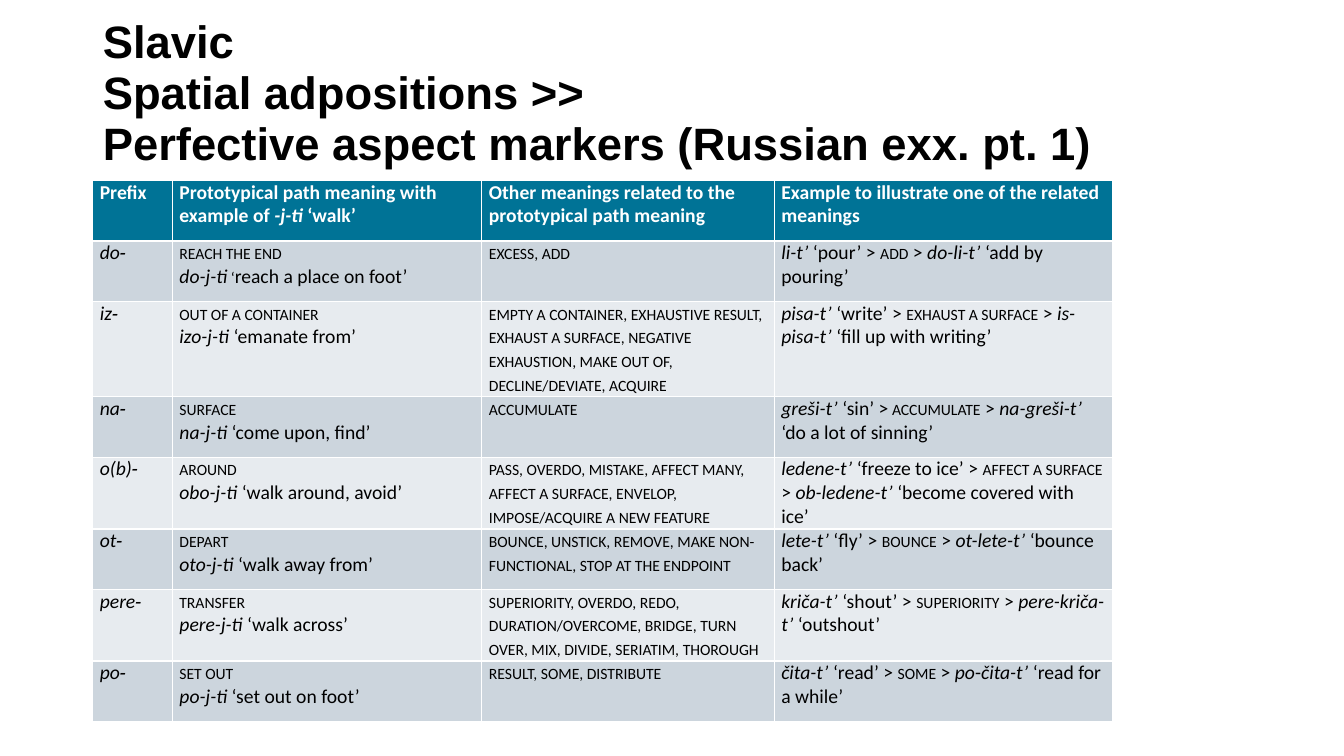
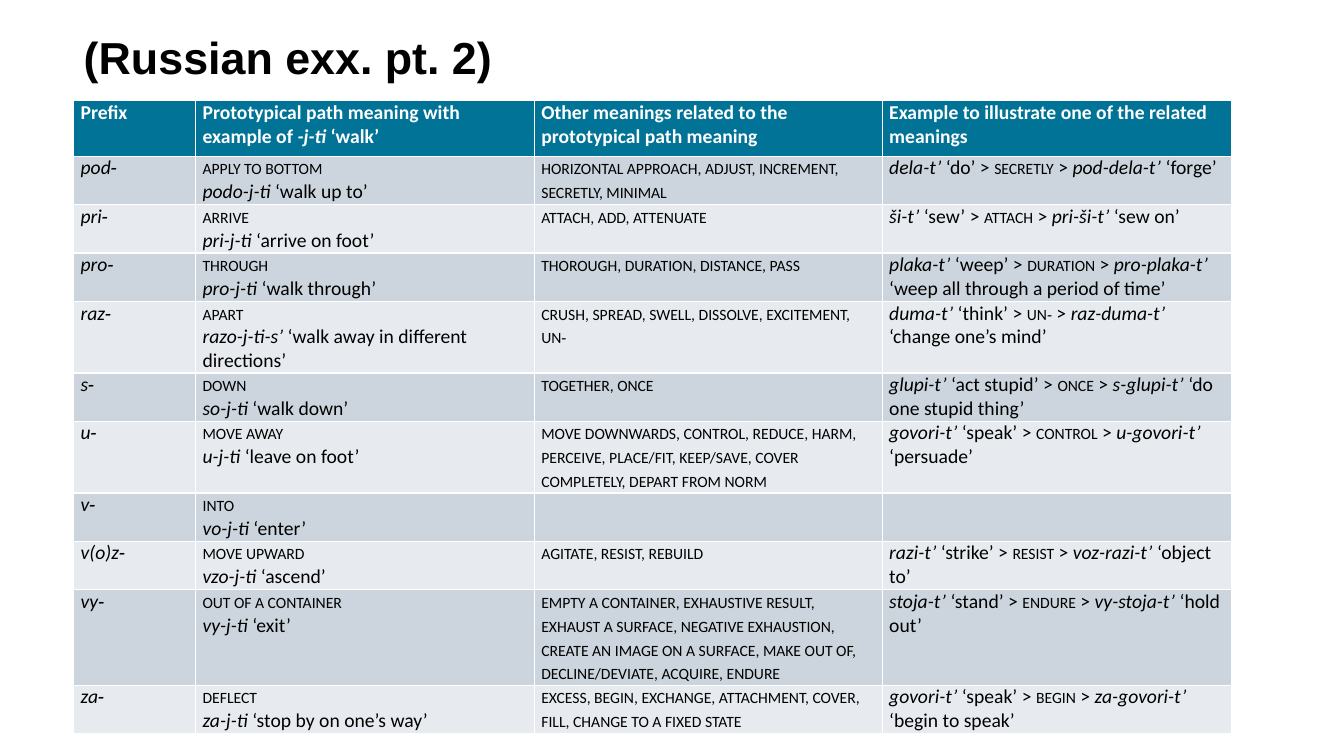
"""Build two slides with tables of Russian aspect prefixes."""
from pptx import Presentation
from pptx.dml.color import RGBColor
from pptx.enum.text import MSO_ANCHOR, MSO_AUTO_SIZE
from pptx.oxml.ns import qn
from pptx.util import Inches, Pt

HEADER_FILL = "007396"
BAND_FILLS = ["CCD5DD", "E7EBEF"]
TITLE_STYLE = {"sz": "3240", "b": "1"}
TITLE_FRAME = {"vertical_anchor": MSO_ANCHOR.MIDDLE, "auto_size": MSO_AUTO_SIZE.NONE,
               "word_wrap": True}
CELL_MARGINS = {"margin_left": Inches(0.07), "margin_right": Inches(0.07),
                "margin_top": 0, "margin_bottom": 0}
CELL_FONT = {"name": "Calibri", "size": Pt(14)}

HEADINGS = [
    "Prefix",
    "Prototypical path meaning with example of *-j-ti* ‘walk’",
    "Other meanings related to the prototypical path meaning",
    "Example to illustrate one of the related meanings",
]

PREFIXES_PART_1 = [
    ("do", "reach the end", "*do-j-ti*_ ‘_reach a place on foot’",
     "excess, add",
     "*li-t’* ‘pour’ > _add_ > *do-li-t’* ‘add by pouring’"),
    ("iz", "out of a container", "*izo-j-ti* ‘emanate from’",
     "empty a container, exhaustive result, exhaust a surface, negative exhaustion, "
     "make out of, decline/deviate, acquire",
     "*pisa-t’* ‘write’ > _exhaust a surface_ > *is-pisa-t’* ‘fill up with writing’"),
    ("na", "surface", "*na-j-ti* ‘come upon, find’",
     "accumulate",
     "*greši-t’* ‘sin’ >_ accumulate_ > *na-greši-t’* ‘do a lot of sinning’"),
    ("o(b)", "around", "*obo-j-ti* ‘walk around, avoid’",
     "pass, overdo, mistake, affect many, affect a surface, envelop, "
     "impose/acquire a new feature",
     "*ledene-t’* ‘freeze to ice’ > _affect a surface_ > *ob-ledene-t’* "
     "‘become covered with ice’"),
    ("ot", "depart", "*oto-j-ti* ‘walk away from’",
     "bounce, unstick, remove, make non-functional, stop at the endpoint",
     "*lete-t’* ‘fly’ > _bounce_ > *ot-lete-t’* ‘bounce back’"),
    ("pere", "transfer", "*pere-j-ti* ‘walk across’",
     "superiority, overdo, redo, duration/overcome, bridge, turn over, mix, divide, "
     "seriatim, thorough",
     "*kriča-t’* ‘shout’ > _superiority_ > *pere-kriča-t’* ‘outshout’"),
    ("po", "set out", "*po-j-ti* ‘set out on foot’",
     "result, some, distribute",
     "*čita-t’* ‘read’ > _some_ > *po*-*čita-t’* ‘read for a while’"),
]

PREFIXES_PART_2 = [
    ("pod", "apply to bottom", "*podo-j-ti* ‘walk up to’",
     "horizontal approach, adjust, increment, secretly, minimal",
     "*dela-t’* ‘do’ > _secretly_ > *pod-dela-t’* ‘forge’"),
    ("pri", "arrive", "*pri-j-ti* ‘arrive on foot’",
     "attach, add, attenuate",
     "*ši-t’* ‘sew’ > _attach_ > *pri-ši-t’* ‘sew on’"),
    ("pro", "through", "*pro-j-ti* ‘walk through’",
     "thorough, duration, distance, pass",
     "*plaka-t’* ‘weep’ > _duration_ > *pro-plaka-t’* "
     "‘weep all through a period of time’"),
    ("raz", "apart", "*razo-j-ti-s’* ‘walk away in different directions’",
     "crush, spread, swell, dissolve, excitement, un‑",
     "*duma-t’* ‘think’ > _un‑_ > *raz-duma-t’* ‘change one’s mind’"),
    ("s", "down", "*so-j-ti* ‘walk down’",
     "together, once",
     "*glupi-t’* ‘act stupid’ > _once_ > *s-glupi-t’* ‘do one stupid thing’"),
    ("u", "move away", "*u-j-ti* ‘leave on foot’",
     "move downwards, control, reduce, harm, perceive, place/fit, keep/save, "
     "cover completely, depart from norm",
     "*govori-t’* ‘speak’ > _control_ > *u-govori-t’* ‘persuade’"),
    ("v", "into", "*vo-j-ti* ‘enter’", "", ""),
    ("v(o)z", "move upward", "*vzo-j-ti* ‘ascend’",
     "agitate, resist, rebuild",
     "*razi-t’* ‘strike’ > _resist_ > *voz-razi-t’* ‘object to’"),
    ("vy", "out of a container", "*vy-j-ti* ‘exit’",
     "empty a container, exhaustive result, exhaust a surface, negative exhaustion, "
     "create an image on a surface, make out of, decline/deviate, acquire, endure",
     "*stoja-t’* ‘stand’ > _endure_ > *vy-stoja-t’* ‘hold out’"),
    ("za", "deflect", "*za-j-ti *‘stop by on one’s way’",
     "excess, begin, exchange, attachment, cover, fill, change to a fixed state",
     "*govori-t’* ‘speak’ > _begin_ > *za-govori-t’* ‘begin to speak’"),
]

SLIDES = [
    {"title": "Slavic\nSpatial adpositions >> \nPerfective aspect markers (Russian exx. pt. 1)",
     "title_box": (0.92, 0.21, 11.5, 1.45), "title_size": 32.4, "title_spacing": 0.94,
     "table_at": (0.92, 1.79), "columns": [0.79, 3.07, 2.9, 3.36],
     "heights": [0.6] * 8, "prefixes": PREFIXES_PART_1},
    {"title": "(Russian exx. pt. 2)",
     "title_box": (0.73, 0.24, 8.3, 0.64), "title_size": 32, "title_spacing": 1.0,
     "table_at": (0.73, 1), "columns": [1.21, 3.36, 3.45, 3.47],
     "heights": [0.55] + [0.48] * 5 + [0.71] + [0.48] * 2 + [0.94, 0.48],
     "prefixes": PREFIXES_PART_2},
]


def color(hex_value):
    """Turn a hex string into a colour."""
    return RGBColor.from_string(hex_value)


def write_marked(paragraph, marked, text_color, bold):
    """Write text in which *...* is italic and _..._ is small caps."""
    for i, part in enumerate(marked.split("*")):
        for j, words in enumerate(part.split("_")):
            if not words:
                continue
            run = paragraph.add_run()
            run.text = words
            for name, value in {**CELL_FONT, "bold": bold, "italic": i % 2 == 1}.items():
                setattr(run.font, name, value)
            run.font.color.rgb = color(text_color)
            if j % 2:
                run._r.get_or_add_rPr().set("cap", "small")


prs = Presentation()
prs.slide_width, prs.slide_height = Inches(13.33), Inches(7.5)
title_level = prs.slide_master.element.find(f".//{qn('p:titleStyle')}/{qn('a:lvl1pPr')}")
title_level.set("algn", "l")
title_defaults = title_level.find(qn("a:defRPr"))
for name, value in TITLE_STYLE.items():
    title_defaults.set(name, value)
title_defaults.find(qn("a:latin")).set("typeface", "Arial")

for content in SLIDES:
    slide = prs.slides.add_slide(prs.slide_layouts[5])
    title = slide.shapes.title
    for name, value in zip(("left", "top", "width", "height"), content["title_box"]):
        setattr(title, name, Inches(value))
    for name, value in TITLE_FRAME.items():
        setattr(title.text_frame, name, value)
    heading = title.text_frame.paragraphs[0]
    heading.text = content["title"]
    heading.line_spacing = content["title_spacing"]
    for run in heading.runs:
        run.font.size = Pt(content["title_size"])
        run.font.color.rgb = color("000000")

    columns, heights = content["columns"], content["heights"]
    left, top = content["table_at"]
    prefix_table = slide.shapes.add_table(
        len(heights), len(columns), Inches(left), Inches(top),
        Inches(sum(columns)), Inches(sum(heights))).table
    for column, width in zip(prefix_table.columns, columns):
        column.width = Inches(width)
    for row, height in zip(prefix_table.rows, heights):
        row.height = Inches(height)

    rows = [HEADINGS] + [
        (f"*{prefix}‑*", f"_{path_meaning}_\n{walk}", f"_{others}_", example)
        for prefix, path_meaning, walk, others, example in content["prefixes"]]
    for r, row_texts in enumerate(rows):
        is_header = r == 0
        for c, marked in enumerate(row_texts):
            cell = prefix_table.cell(r, c)
            for name, value in CELL_MARGINS.items():
                setattr(cell, name, value)
            cell.fill.solid()
            cell.fill.fore_color.rgb = color(HEADER_FILL if is_header else BAND_FILLS[(r - 1) % 2])
            for n, line in enumerate(marked.split("\n")):
                paragraph = cell.text_frame.add_paragraph() if n else cell.text_frame.paragraphs[0]
                write_marked(paragraph, line, "FFFFFF" if is_header else "000000", is_header)

prs.save("out.pptx")
